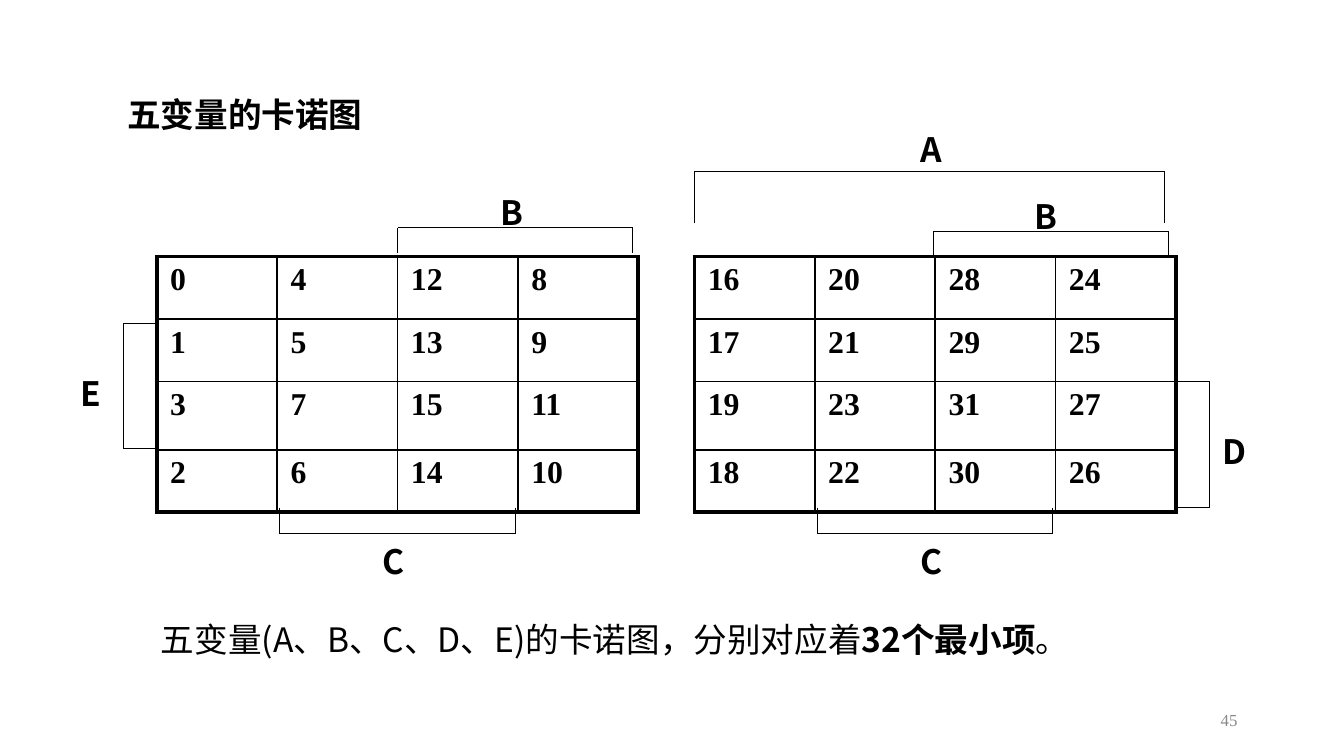
from itertools import pairwise
from lxml.etree import SubElement
from pptx import Presentation
from pptx.dml.color import RGBColor
from pptx.enum.shapes import MSO_CONNECTOR
from pptx.enum.text import MSO_ANCHOR, MSO_AUTO_SIZE, PP_ALIGN
from pptx.oxml import parse_xml
from pptx.oxml.ns import nsdecls, qn
from pptx.util import Pt

BLACK = RGBColor(0, 0, 0)
WHITE = RGBColor(255, 255, 255)
GRAY = RGBColor(0x89, 0x89, 0x89)
SANS = "Noto Sans CJK SC"
SERIF = "Times New Roman"
THIN, THICK = 1, 2.25
COL = 64.5
ROWS = [33.5, 33.5, 36.5, 33.5]
TOP = 137.5
LEFT, RIGHT = 84, 372
CODES = [[0, 4, 12, 8], [1, 5, 13, 9], [3, 7, 15, 11], [2, 6, 14, 10]]


class Deck:
    def __init__(self):
        self.file = Presentation()
        self.file.slide_width = Pt(720)
        self.file.slide_height = Pt(405)
        self.slide = self.file.slides.add_slide(self.file.slide_layouts[1])
        self.shapes = self.slide.shapes

    def words(self, para, text, size=18, face=SANS, bold=False, color=BLACK):
        run = para.add_run()
        run.text = text
        font = run.font
        font.size, font.bold = Pt(size), bold
        font.color.rgb = color
        font.name = face
        SubElement(font._element, qn("a:ea")).set("typeface", face)

    def holder(self, shape, box, runs):
        shape.left, shape.top, shape.width, shape.height = map(Pt, box)
        frame = shape.text_frame
        frame.auto_size = MSO_AUTO_SIZE.NONE
        frame.vertical_anchor = MSO_ANCHOR.TOP
        para = frame.paragraphs[0]
        para.alignment = PP_ALIGN.LEFT
        para.line_spacing = 0.9
        para.space_before = Pt(0)
        for text, bold in runs:
            self.words(para, text, bold=bold)
        return para

    def title(self, box, text):
        self.holder(self.shapes.title, box, [(text, True)])

    def body(self, box, runs):
        para = self.holder(self.slide.placeholders[1], box, runs)
        props = para._p.get_or_add_pPr()
        props.set("marL", str(Pt(13.5)))
        props.set("indent", str(Pt(-13.5)))
        SubElement(props, qn("a:buNone"))

    def label(self, box, text, align=PP_ALIGN.LEFT, anchor=MSO_ANCHOR.TOP, **style):
        frame = self.shapes.add_textbox(*map(Pt, box)).text_frame
        frame.word_wrap = True
        frame.vertical_anchor = anchor
        para = frame.paragraphs[0]
        para.alignment = align
        self.words(para, text, **style)

    def border(self, cell, widths):
        props = cell._tc.get_or_add_tcPr()
        for spot, (side, width) in enumerate(zip("LRTB", widths)):
            props.insert(spot, parse_xml(
                f'<a:ln{side} {nsdecls("a")} w="{Pt(width)}"><a:solidFill>'
                f'<a:srgbClr val="{BLACK}"/></a:solidFill></a:ln{side}>'))

    def grid(self, left, first):
        size = len(CODES)
        table = self.shapes.add_table(
            size, size, Pt(left), Pt(TOP), Pt(COL * size), Pt(sum(ROWS))).table
        table.first_row = table.horz_banding = False
        for col in table.columns:
            col.width = Pt(COL)
        for r, codes in enumerate(CODES):
            table.rows[r].height = Pt(ROWS[r])
            for c, code in enumerate(codes):
                cell = table.cell(r, c)
                cell.margin_top = cell.margin_bottom = Pt(3)
                cell.fill.solid()
                cell.fill.fore_color.rgb = WHITE
                edges = (c == 0, c == size - 1, r == 0, r == size - 1)
                self.border(cell, [THICK if edge else THIN for edge in edges])
                self.words(cell.text_frame.paragraphs[0], str(first + code),
                           size=17, face=SERIF, bold=True)

    def bracket(self, name, start, end, push, spot, width=42):
        dx, dy = push
        ends = [start, (start[0] + dx, start[1] + dy),
                (end[0] + dx, end[1] + dy), end]
        for head, tail in pairwise(ends):
            line = self.shapes.add_connector(
                MSO_CONNECTOR.STRAIGHT, *map(Pt, head + tail))
            line.line.color.rgb = BLACK
            line.line.width = Pt(0.5)
            SubElement(line._element.spPr, qn("a:effectLst"))
        self.label((*spot, width, 29), name, bold=True)


def main():
    deck = Deck()
    deck.title((61, 49, 594, 40), "五变量的卡诺图")
    deck.body((79, 330.5, 666, 40), [
        ("五变量(A、B、C、D、E)的卡诺图，分别对应着", False),
        ("32个最小项", True),
        ("。", False),
    ])
    for left, first in ((LEFT, 0), (RIGHT, 16)):
        deck.grid(left, first)
        deck.bracket("C", (left + 66, 272), (left + 192, 272), (0, 14),
                     (left + 114, 286))
    deck.bracket("B", (213, 135.5), (339, 135.5), (0, -13.5), (261, 99.5))
    deck.bracket("B", (500, TOP), (626, TOP), (0, -13.5), (547, 101.5))
    deck.bracket("A", (RIGHT, 119.5), (624, 119.5), (0, -27.5), (486, 65.5), 60)
    deck.bracket("E", (LEFT, 173.5), (LEFT, 240.5), (-18, 0), (36, 196))
    deck.bracket("D", (630, 204.5), (630, 272), (18, 0), (648, 227.5))
    deck.label((508, 375, 162, 21.5), "45", PP_ALIGN.RIGHT, MSO_ANCHOR.MIDDLE,
               size=9, face=SERIF, color=GRAY)
    deck.file.save("out.pptx")


if __name__ == "__main__":
    main()
